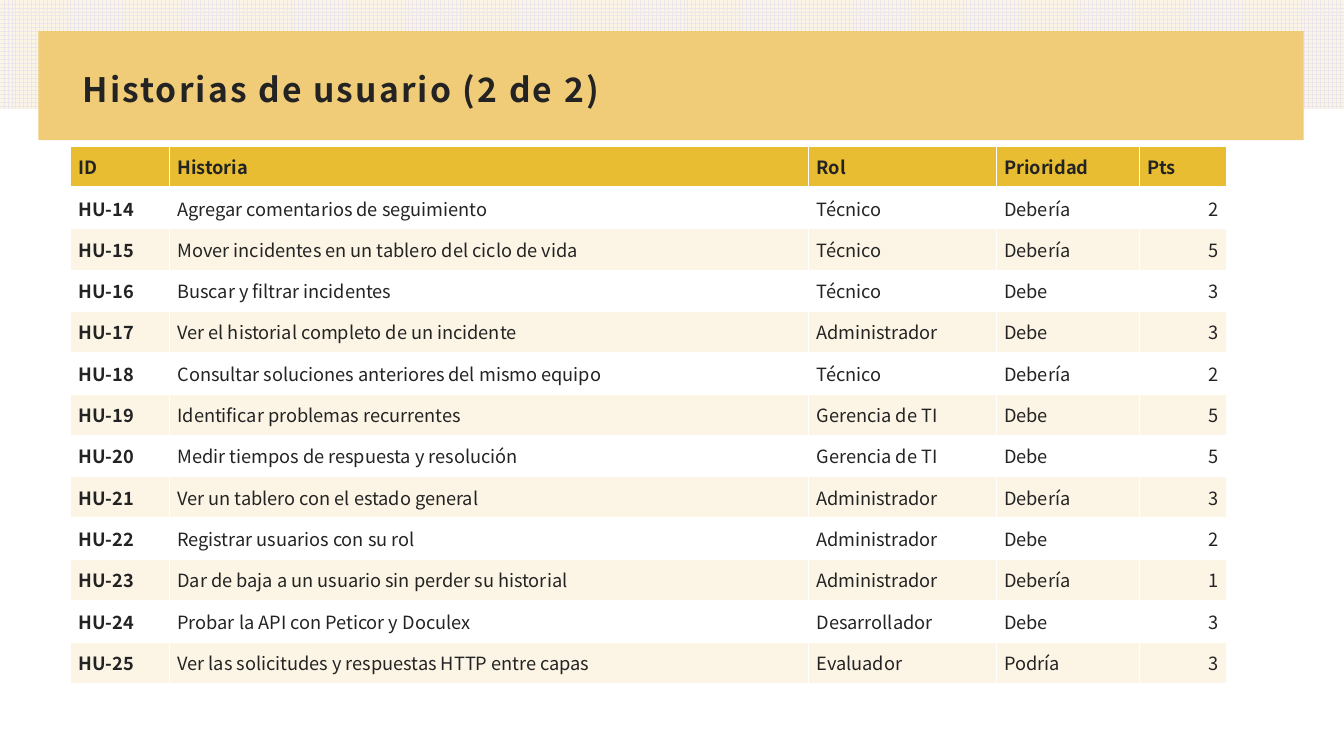
"""Build the second slide of user stories: a title band above a striped table."""
from lxml import etree
from pptx import Presentation
from pptx import util as u
from pptx.dml.color import RGBColor
from pptx.enum import dml, shapes, text
from pptx.oxml.ns import qn

TITLE = "Historias de usuario (2 de 2)"
HEADINGS = ("ID", "Historia", "Rol", "Prioridad", "Pts")
STORIES = [
    ("HU-14", "Agregar comentarios de seguimiento", "Técnico", "Debería", "2"),
    ("HU-15", "Mover incidentes en un tablero del ciclo de vida", "Técnico", "Debería", "5"),
    ("HU-16", "Buscar y filtrar incidentes", "Técnico", "Debe", "3"),
    ("HU-17", "Ver el historial completo de un incidente", "Administrador", "Debe", "3"),
    ("HU-18", "Consultar soluciones anteriores del mismo equipo", "Técnico", "Debería", "2"),
    ("HU-19", "Identificar problemas recurrentes", "Gerencia de TI", "Debe", "5"),
    ("HU-20", "Medir tiempos de respuesta y resolución", "Gerencia de TI", "Debe", "5"),
    ("HU-21", "Ver un tablero con el estado general", "Administrador", "Debería", "3"),
    ("HU-22", "Registrar usuarios con su rol", "Administrador", "Debe", "2"),
    ("HU-23", "Dar de baja a un usuario sin perder su historial", "Administrador", "Debería", "1"),
    ("HU-24", "Probar la API con Peticor y Doculex", "Desarrollador", "Debe", "3"),
    ("HU-25", "Ver las solicitudes y respuestas HTTP entre capas", "Evaluador", "Podría", "3"),
]
COLUMN_WIDTHS = (0.98, 6.34, 1.86, 1.42, 0.87)
ROW_HEIGHT = 0.41
THEME = {
    "font": "Noto Sans CJK JP", "title_size": 24, "table_size": 13,
    "ink": "232323", "white": "FFFFFF", "band": "F0CC79", "header": "E8BD32",
    "cream": "FCF5E5", "grid": "EBE6EB",
}


def color(name):
    return RGBColor.from_string(THEME[name])


def add_panel(page, left, top, width, height):
    panel = page.shapes.add_shape(shapes.MSO_SHAPE.RECTANGLE, *map(u.Inches, (left, top, width, height)))
    panel.shadow.inherit = False
    panel.line.fill.background()
    return panel


def add_span(para, words, size, bold):
    span = para.add_run()
    span.text = words
    span.font.name = THEME["font"]
    span.font.size = u.Pt(size)
    span.font.bold = bold
    span.font.color.rgb = color("ink")
    etree.SubElement(span.font._element, qn("a:ea")).set("typeface", THEME["font"])
    return span


def add_borders(cell, bottom_width):
    properties = cell._tc.get_or_add_tcPr()
    for side, width in (("L", 1), ("R", 1), ("T", 1), ("B", bottom_width)):
        line = etree.SubElement(properties, qn(f"a:ln{side}"), w=str(u.Pt(width)))
        fill = etree.SubElement(line, qn("a:solidFill"))
        etree.SubElement(fill, qn("a:srgbClr"), val=THEME["white"])


def add_title(page):
    box = page.shapes.add_textbox(*map(u.Inches, (0.7, 0.52, 11.93, 0.75)))
    frame = box.text_frame
    frame.word_wrap = True
    frame.vertical_anchor = text.MSO_ANCHOR.MIDDLE
    frame.margin_left = frame.margin_right = frame.margin_top = u.Inches(0.12)
    frame.margin_bottom = u.Inches(0.1)
    para = frame.paragraphs[0]
    para.line_spacing = 0.9
    span = add_span(para, TITLE, THEME["title_size"], True)
    span.font._element.set("spc", "150")


def fill_cell(cell, words, row, column):
    header = row == 0
    cell.vertical_anchor = text.MSO_ANCHOR.MIDDLE
    cell.margin_left = cell.margin_right = u.Inches(0.08)
    cell.margin_top = cell.margin_bottom = u.Inches(0.03)
    add_borders(cell, 3 if header else 1)
    cell.fill.solid()
    cell.fill.fore_color.rgb = color("header" if header else "white" if row % 2 else "cream")
    para = cell.text_frame.paragraphs[0]
    if not header and column == len(HEADINGS) - 1:
        para.alignment = text.PP_ALIGN.RIGHT
    add_span(para, words, THEME["table_size"], header or column == 0)


def add_story_table(page):
    rows = [HEADINGS, *STORIES]
    size = (sum(COLUMN_WIDTHS), ROW_HEIGHT * len(rows))
    table = page.shapes.add_table(
        len(rows), len(HEADINGS), *map(u.Inches, (0.7, 1.45, *size))).table
    for column, width in zip(table.columns, COLUMN_WIDTHS):
        column.width = u.Inches(width)
    for r, row in enumerate(rows):
        table.rows[r].height = u.Inches(ROW_HEIGHT)
        for c, words in enumerate(row):
            fill_cell(table.cell(r, c), words, r, c)


def main():
    deck = Presentation()
    deck.slide_width, deck.slide_height = u.Inches(13.33), u.Inches(7.5)
    page = deck.slides.add_slide(deck.slide_layouts[6])
    backdrop = add_panel(page, 0, 0, 13.33, 1.08)
    backdrop.fill.patterned()
    backdrop.fill.pattern = dml.MSO_PATTERN.LARGE_GRID
    backdrop.fill.fore_color.rgb = color("grid")
    backdrop.fill.back_color.rgb = color("cream")
    band = add_panel(page, 0.38, 0.31, 12.55, 1.08)
    band.fill.solid()
    band.fill.fore_color.rgb = color("band")
    add_title(page)
    add_story_table(page)
    deck.save("out.pptx")


if __name__ == "__main__":
    main()
